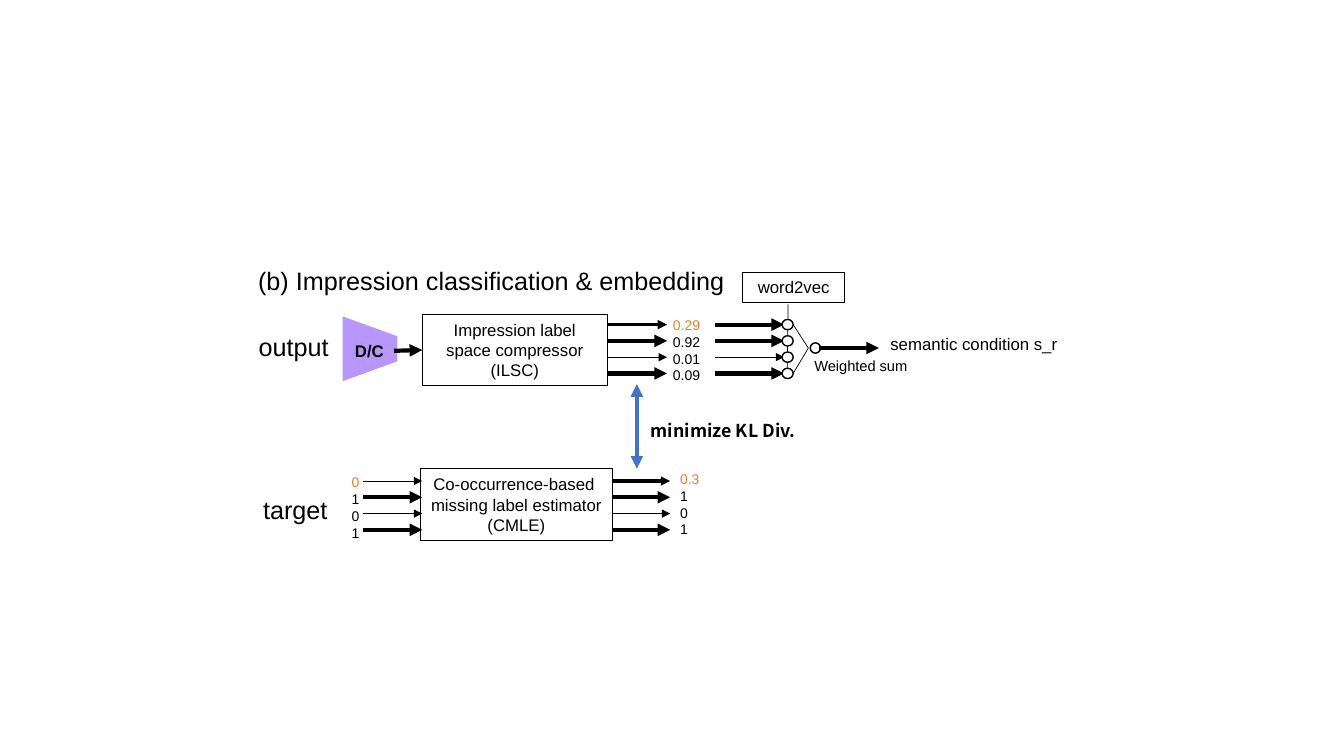
import pptx
import pptx.util
import pptx.dml.color
import pptx.enum.dml
import pptx.enum.shapes
import pptx.enum.text
import pptx.oxml
import pptx.oxml.ns

Cm = pptx.util.Cm
Pt = pptx.util.Pt
RGBColor = pptx.dml.color.RGBColor
ALIGN = pptx.enum.text.PP_ALIGN
ANCHOR = pptx.enum.text.MSO_ANCHOR
FORM = pptx.enum.shapes.MSO_SHAPE
qn = pptx.oxml.ns.qn

BLACK = RGBColor(0x00, 0x00, 0x00)
WHITE = RGBColor(0xFF, 0xFF, 0xFF)
ORANGE = RGBColor(0xED, 0x7D, 0x31)
BLUE = RGBColor(0x44, 0x72, 0xC4)
PURPLE = RGBColor(0x56, 0x08, 0xF9)

STEP = 0.41
TOP = 8.18
LOW = 12.12
HEADING = "(b) Impression classification & embedding"

BOXES = {
    "ILSC": (["Impression label", "space compressor", "(ILSC)"], (10.64, 7.92, 4.67, 1.8)),
    "CMLE": (["Co-occurrence-based ", "missing label estimator", "(CMLE)"], (10.59, 11.81, 4.85, 1.8)),
    "embed": (["word2vec"], (18.72, 6.86, 2.57, 0.76)),
}
LANES = [
    (9.14, 10.64, LOW, (0.25, 3, 0.25, 3)),
    (15.42, 16.89, LOW, (2.25, 3, 0.25, 3)),
    (15.32, 16.81, TOP, (2.25, 3, 0.25, 3)),
    (18.01, 19.76, TOP, (3, 3, 0.25, 3)),
]
SCORES = [
    (["0", "1", "0", "1"], (8.61, 11.81, 0.71, 1.96)),
    (["0.3", "1", "0", "1"], (16.89, 11.73, 0.99, 1.96)),
    (["0.29", "0.92", "0.01", "0.09"], (16.71, 7.85, 1.19, 1.96)),
]
LABELS = [
    ("target", (6.38, 12.34, 2.16, 1.02), dict(size=18)),
    ("output", (6.27, 8.23, 2.29, 1.02), dict(size=18)),
    ("semantic condition s_r", (22.17, 8.28, 4.75, 0.76), dict(align=ALIGN.CENTER)),
    ("Weighted sum", (20.5, 8.99, 2.39, 0.46), dict(size=10.5, align=ALIGN.CENTER, inset=0)),
    ("D/C", (8.69, 8.46, 1.24, 0.76), dict(bold=True, align=ALIGN.CENTER)),
    ("minimize KL Div.", (16.13, 10.46, 4.19, 0.79),
     dict(size=12.7, bold=True, align=ALIGN.CENTER, font="Noto Sans CJK JP")),
]

deck = pptx.Presentation()
deck.slide_width, deck.slide_height = Cm(33.87), Cm(19.05)
slide = deck.slides.add_slide(deck.slide_layouts[5])
shapes = slide.shapes


def write(shape, lines, size=12, font="Arial", bold=False, align=ALIGN.LEFT,
          anchor=ANCHOR.TOP, first=BLACK, inset=None):
    frame = shape.text_frame
    frame.text = "\n".join(lines)
    frame.word_wrap = False
    frame.auto_size = pptx.enum.text.MSO_AUTO_SIZE.NONE
    frame.vertical_anchor = anchor
    if inset is not None:
        frame.margin_left = frame.margin_right = Cm(inset)
        frame.margin_top = frame.margin_bottom = Cm(inset)
    for row, para in enumerate(frame.paragraphs):
        para.alignment = align
        run = para.runs[0].font
        run.name, run.size, run.bold = font, Pt(size), bold
        run.color.rgb = BLACK if row else first


def draw(form, place, fill=None, width=None):
    shape = shapes.add_shape(form, *map(Cm, place))
    shape.shadow.inherit = False
    if fill is None:
        shape.fill.background()
    else:
        shape.fill.solid()
        shape.fill.fore_color.rgb = fill
    if width is None:
        shape.line.fill.background()
    else:
        shape.line.color.rgb = BLACK
        shape.line.width = Pt(width)
    return shape


def link(start, end, width, color=BLACK, heads=("tailEnd",)):
    line = shapes.add_connector(pptx.enum.shapes.MSO_CONNECTOR.STRAIGHT,
                                *map(Cm, start + end))
    line.line.color.rgb = color
    line.line.width = Pt(width)
    stroke = line.line._get_or_add_ln()
    for head in heads:
        mark = pptx.oxml.parse_xml(
            f'<a:{head} {pptx.oxml.ns.nsdecls("a")} type="triangle"/>')
        stroke.append(mark)
    line._element.spPr.append(
        pptx.oxml.parse_xml(f'<a:effectLst {pptx.oxml.ns.nsdecls("a")}/>'))
    return line


title = shapes.title
title.left, title.top, title.width, title.height = map(Cm, (6.25, 6.55, 12.73, 1.02))
write(title, [HEADING], size=18)

link((19.84, 9.27), (19.86, 7.67), 0.5, heads=())

boxes = {}
for name, (lines, place) in BOXES.items():
    boxes[name] = draw(FORM.RECTANGLE, place, width=0.75)
    write(boxes[name], lines, align=ALIGN.CENTER, anchor=ANCHOR.MIDDLE)

for left, right, top, widths in LANES:
    for row, width in enumerate(widths):
        y = top + row * STEP
        link((left, y), (right, y), width)

for row in range(4):
    draw(FORM.OVAL, (19.71, TOP - 0.13 + row * STEP, 0.28, 0.26), WHITE, 1)
draw(FORM.OVAL, (20.42, 8.64, 0.26, 0.26), WHITE, 1)
for row in (0, 3):
    link((19.99, TOP + row * STEP), (20.37, 8.77), 0.5, heads=())
link((20.65, 8.77), (22.15, 8.77), 3)

prism = draw(FORM.TRAPEZOID, (8.51, 8.1, 1.63, 1.38), PURPLE)
prism.rotation = 90
prism.adjustments[0] = 0.361
tint = prism._element.spPr.find(qn("a:solidFill"))[0]
tint.append(pptx.oxml.parse_xml(f'<a:alpha {pptx.oxml.ns.nsdecls("a")} val="42000"/>'))

for lines, place in SCORES:
    write(shapes.add_textbox(*map(Cm, place)), lines, size=10, first=ORANGE)
for label, place, style in LABELS:
    write(shapes.add_textbox(*map(Cm, place)), [label], **style)

feed = link((9.93, 8.84), (10.64, 8.82), 3)
feed.end_connect(boxes["ILSC"], 1)
link((16.05, 11.81), (16.05, 9.68), 3, BLUE, ("headEnd", "tailEnd"))

deck.save("out.pptx")
